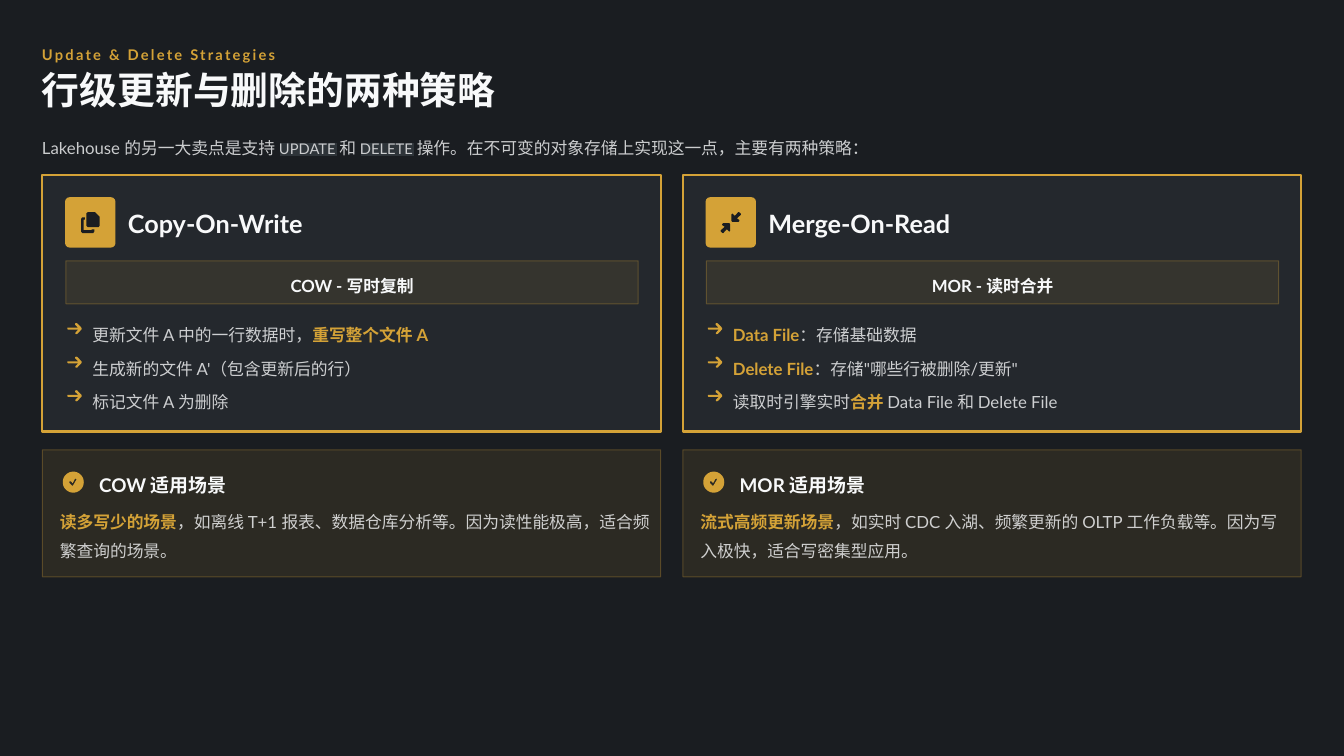
from collections import namedtuple
from math import cos, pi, sin

from pptx import Presentation
from pptx.dml.color import RGBColor
from pptx.enum.shapes import MSO_SHAPE
from pptx.enum.text import MSO_ANCHOR, MSO_AUTO_SIZE, PP_ALIGN
from pptx.oxml.ns import qn
from pptx.util import Inches, Pt
from lxml.etree import SubElement, Element

COLORS = {"night": "1A1D21", "slate": "343A40", "gold": "D4A237", "white": "F8F9FA"}
FONT = "Lato"
WIDTH, HEIGHT = 17.78, 10
COLUMNS, ROWS = 64, 36
COLUMN, ROW = WIDTH / COLUMNS, HEIGHT / ROWS
LIST_PITCH = 1.6

# Icon outlines, as percentages of the icon's box
ARROW = [[(0, 45), (76, 45), (54, 24), (54, 16), (62, 12), (70, 15), (100, 47), (100, 56),
          (70, 88), (62, 90), (56, 87), (56, 80), (76, 59), (5, 59), (0, 55)]]
PAGES = [[(36, 0), (75, 0), (100, 22), (100, 66), (94, 72), (36, 72), (29, 66), (29, 6)],
         [(0, 32), (7, 25), (21, 25), (21, 36), (14, 36), (14, 86), (57, 86), (57, 82),
          (72, 82), (72, 92), (66, 100), (7, 100), (0, 93)]]
INWARD = [(86, 0), (89, 0), (98, 8), (98, 13), (79, 30), (91, 38), (91, 43), (86, 47),
          (57, 47), (53, 42), (53, 12), (57, 7), (61, 10), (69, 18)]
MERGE = [INWARD, [(100 - x, 100 - y) for x, y in INWARD]]
CIRCLE = [(50 + 50 * cos(step * pi / 24), 50 + 50 * sin(step * pi / 24)) for step in range(48)]
CHECK = [CIRCLE, [(64, 40), (50, 64), (46, 68), (43, 66), (32, 54), (32, 47), (36, 46),
                  (40, 47), (47, 55), (57, 36), (62, 32), (66, 36)]]


class Box(namedtuple("Box", "left top width height")):
    """A rectangle in grid columns and rows."""

    def inner(self, left, top, width, height):
        return Box(self.left + left, self.top + top, width, height)

    def lengths(self):
        return [Inches(self.left * COLUMN), Inches(self.top * ROW),
                Inches(self.width * COLUMN), Inches(self.height * ROW)]


# A run of text: its words and look
Span = namedtuple("Span", "text size color alpha bold highlight spacing",
                  defaults=(16, "white", 100, False, None, None))


def plain(text, size=16, highlight=None):
    return Span(text, size, alpha=80, highlight=highlight)


def strong(text, size=16, color="white"):
    return Span(text, size, color, bold=True)


def accent(text):
    return strong(text, color="gold")


def paint(fill, color, alpha=100):
    fill.solid()
    fill.fore_color.rgb = RGBColor.from_string(COLORS[color])
    if alpha < 100:
        solid = fill._xPr.find(qn("a:solidFill"))
        SubElement(solid[0], qn("a:alpha")).set("val", str(alpha * 1000))


def write_spans(para, spans):
    for span in spans:
        run = para.add_run()
        run.text = span.text
        run.font.size, run.font.bold, run.font.name = Pt(span.size), span.bold, FONT
        paint(run.font.fill, span.color, span.alpha)
        properties = run.font._element
        if span.highlight:
            highlight = Element(qn("a:highlight"))
            color = SubElement(highlight, qn("a:srgbClr"))
            color.set("val", COLORS[span.highlight])
            properties.find(qn("a:solidFill")).addnext(highlight)
        if span.spacing:
            properties.set("spc", str(int(span.spacing * 100)))


def prepare_frame(shape):
    frame = shape.text_frame
    frame.word_wrap = True
    frame.auto_size = MSO_AUTO_SIZE.NONE
    frame.vertical_anchor = MSO_ANCHOR.MIDDLE
    frame.margin_left = frame.margin_right = frame.margin_top = frame.margin_bottom = 0
    return frame


def write_line(shape, spans, line_spacing, align=PP_ALIGN.LEFT):
    para = prepare_frame(shape).paragraphs[0]
    para.alignment, para.line_spacing = align, line_spacing
    write_spans(para, spans)


def add_text(page, box, spans, line_spacing=1.3):
    write_line(page.shapes.add_textbox(*box.lengths()), spans, line_spacing)


def move(shape, box):
    shape.left, shape.top, shape.width, shape.height = box.lengths()


def add_panel(page, box, fill, alpha, line_width=None, line_alpha=100, kind=MSO_SHAPE.RECTANGLE):
    panel = page.shapes.add_shape(kind, *box.lengths())
    panel.shadow.inherit = False
    paint(panel.fill, fill, alpha)
    if line_width:
        paint(panel.line.fill, "gold", line_alpha)
        panel.line.width = Pt(line_width)
    else:
        panel.line.fill.background()
    return panel


def add_icon(page, box, contours, color):
    left, top, width, height = box.lengths()
    points = [[(left + x * width / 100, top + y * height / 100) for x, y in contour]
              for contour in contours]
    builder = page.shapes.build_freeform(*points[0][0])
    for contour in points:
        if contour is not points[0]:
            builder.move_to(*contour[0])
        builder.add_line_segments(contour[1:], close=True)
    icon = builder.convert_to_shape()
    icon.shadow.inherit = False
    paint(icon.fill, color)
    icon.line.fill.background()


def fill_list(placeholder, box, items):
    move(placeholder, box)
    frame = prepare_frame(placeholder)
    for index, spans in enumerate(items):
        para = frame.add_paragraph() if index else frame.paragraphs[0]
        properties = para._p.get_or_add_pPr()
        properties.set("marL", "0")
        properties.set("indent", "0")
        SubElement(properties, qn("a:buNone"))
        para.line_spacing = Pt(30)
        para.space_before = Pt(2 if index else 0)
        write_spans(para, spans)


def add_header(page, box):
    eyebrow = Span("Update & Delete Strategies", 14, "gold", bold=True, spacing=2.1)
    add_text(page, box.inner(0, 0, box.width, 1), [eyebrow], 1.2)
    move(page.shapes.title, box.inner(0, 1.38, box.width, 2))
    write_line(page.shapes.title, [strong("行级更新与删除的两种策略", 36)], 0.9)
    add_text(page, box.inner(0, 4.19, box.width, 1.3), [
        plain("Lakehouse 的另一大卖点是支持 "), plain("UPDATE ", 14, "slate"),
        plain("和 "), plain("DELETE ", 14, "slate"),
        plain("操作。在不可变的对象存储上实现这一点，主要有两种策略：")], 1.4)


def add_strategy(page, box, placeholder, strategy):
    add_panel(page, box, "slate", 40, 2)
    badge = box.inner(1.08, 1.04, 2.4, 2.4)
    rounded = add_panel(page, badge, "gold", 100, kind=MSO_SHAPE.ROUNDED_RECTANGLE)
    rounded.adjustments[0] = 0.09
    icon_width = strategy["icon_width"]
    icon_box = badge.inner((badge.width - icon_width) / 2, 0.71, icon_width, 1)
    add_icon(page, icon_box, strategy["icon"], "night")
    add_text(page, box.inner(4.07, 1.44, 24, 1.58), [strong(strategy["name"], 24)], 1.1)
    banner = add_panel(page, box.inner(1.12, 4.07, 27.25, 2.05), "gold", 10, 1, 30)
    write_line(banner, [strong(strategy["banner"])], 1.3, PP_ALIGN.CENTER)
    items = strategy["items"]
    for index in range(len(items)):
        add_icon(page, box.inner(1.19, 6.95 + LIST_PITCH * index, 0.68, 0.68), ARROW, "gold")
    fill_list(placeholder, box.inner(2.38, 6.73, 26.46, 4.4), items)


def add_use_case(page, box, strategy):
    add_panel(page, box, "gold", 10, 1, 30)
    add_icon(page, box.inner(0.97, 1.04, 1, 1), CHECK, "gold")
    add_text(page, box.inner(2.7, 0.83, 20, 1.4), [strong(strategy["use_title"], 18)])
    add_text(page, box.inner(0.83, 2.63, 28.19, 2.59), strategy["use_case"], 1.4)


STRATEGIES = [
    {"name": "Copy-On-Write", "banner": "COW - 写时复制", "icon": PAGES, "icon_width": 0.88,
     "items": [[plain("更新文件 A 中的一行数据时，"), accent("重写整个文件 A")],
               [plain("生成新的文件 A'（包含更新后的行）")],
               [plain("标记文件 A 为删除")]],
     "use_title": "COW 适用场景",
     "use_case": [accent("读多写少的场景"),
                  plain("，如离线 T+1 报表、数据仓库分析等。因为读性能极高，适合频繁查询的场景。")]},
    {"name": "Merge-On-Read", "banner": "MOR - 读时合并", "icon": MERGE, "icon_width": 1,
     "items": [[accent("Data File"), plain("：存储基础数据")],
               [accent("Delete File"), plain("：存储\"哪些行被删除/更新\"")],
               [plain("读取时引擎实时"), accent("合并"), plain(" Data File 和 Delete File")]],
     "use_title": "MOR 适用场景",
     "use_case": [accent("流式高频更新场景"),
                  plain("，如实时 CDC 入湖、频繁更新的 OLTP 工作负载等。因为写入极快，适合写密集型应用。")]},
]


def main():
    deck = Presentation()
    deck.slide_width, deck.slide_height = Inches(WIDTH), Inches(HEIGHT)
    page = deck.slides.add_slide(deck.slide_layouts[3])
    paint(page.background.fill, "night")
    add_header(page, Box(2, 2, 60.4, 5.5))
    for index, strategy in enumerate(STRATEGIES):
        left = 2.02 + 30.5 * index
        add_strategy(page, Box(left, 8.35, 29.44, 12.2), page.placeholders[index + 1], strategy)
        add_use_case(page, Box(left, 21.42, 29.44, 6.05), strategy)
    # The template's placeholders belong in front of the panels
    for placeholder in list(page.placeholders):
        page.shapes._spTree.append(placeholder._element)
    deck.save("out.pptx")


if __name__ == "__main__":
    main()
